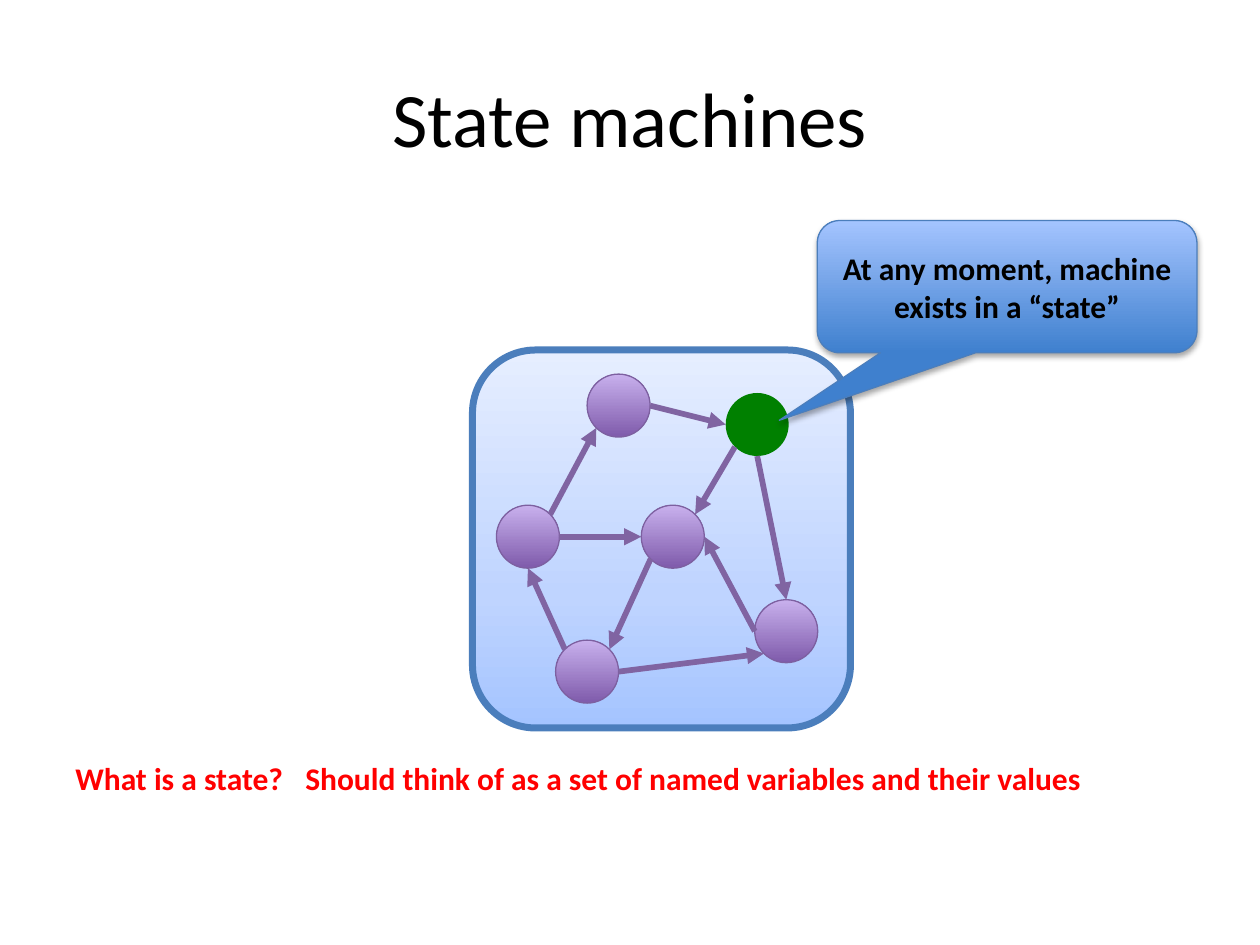
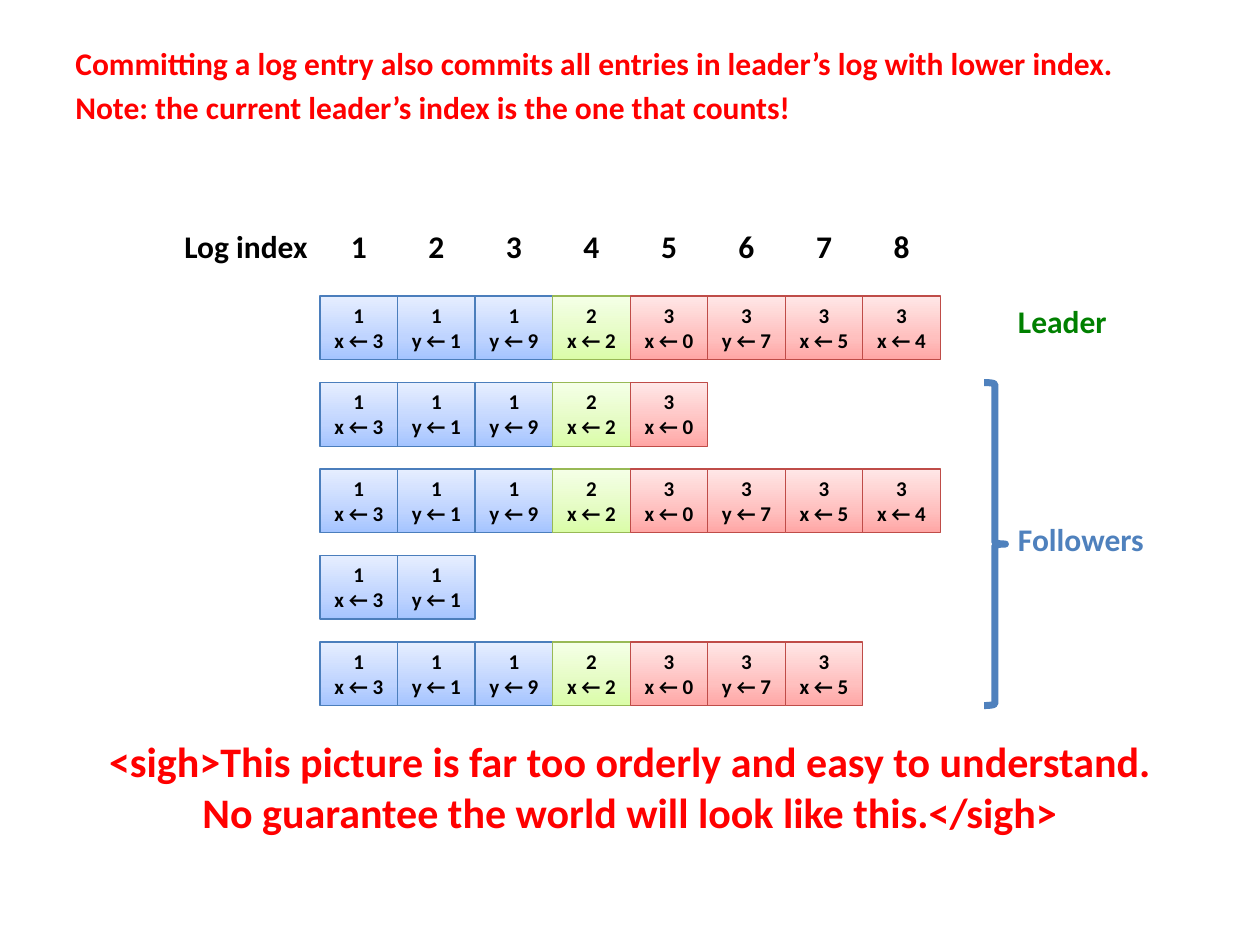
from math import cos, radians, sin

from lxml import etree
from pptx import Presentation
from pptx.dml.color import RGBColor
from pptx.enum import shapes, text
from pptx.oxml import ns
from pptx.util import Pt

FONT = "Calibri"
BLACK = RGBColor(0x00, 0x00, 0x00)
RED = RGBColor(0xFF, 0x00, 0x00)
GREEN = RGBColor(0x00, 0x80, 0x00)
BLUE = RGBColor(0x4F, 0x81, 0xBD)
BLUE_EDGE = RGBColor(0x4B, 0x7E, 0xBC)
LIME_EDGE = RGBColor(0x98, 0xB9, 0x55)
RED_EDGE = RGBColor(0xBF, 0x4C, 0x48)
PURPLE_EDGE = RGBColor(0x7D, 0x60, 0xA0)
ARROW = RGBColor(0x80, 0x64, 0xA2)


def stops(*pairs):
    return [(at, RGBColor.from_string(shade)) for at, shade in pairs]


PALE_BLUE = stops((0, "A4C4FF"), (35, "BFD4FF"), (100, "E6EEFF"))
PALE_LIME = stops((0, "DAFDA7"), (35, "E4FCC2"), (100, "F5FFE7"))
PALE_RED = stops((0, "FFA6A5"), (35, "FFC0BF"), (100, "FFE7E7"))
PURPLE = stops((0, "7F5BAB"), (100, "C8B0ED"))
STRONG_BLUE = stops((0, "3F80CE"), (100, "A4C4FF"))

LEFT, WIDTH, LINE_HEIGHT = 36, 648, 29
CENTER, RIGHT = text.PP_ALIGN.CENTER, text.PP_ALIGN.RIGHT
MIDDLE = text.MSO_ANCHOR.MIDDLE

TITLE = "State machines"
CALLOUT = "At any moment, machine exists in a “state”"
STATE_NOTES = [
    ("What is a state?", 36, 134.6),
    ("Should think of as a set of named variables and their values", 167.4, 458.6),
]
RADIUS = 18
STATES = {
    "west": (301.7, 306.7),
    "south": (335.5, 383.8),
    "center": (384.5, 306.7),
    "current": (432.7, 242.6),
    "east": (449.3, 360.7),
    "north": (353.5, 231.8),
}
COMPASS = {"E": 0, "SE": 45, "S": 90, "SW": 135, "W": 180, "NW": 225, "N": 270, "NE": 315}
TRANSITIONS = [
    ("west", "NE", "north", "SW"),
    ("current", "S", "east", "N"),
    ("south", "E", "east", "SW"),
    ("current", "SW", "center", "NE"),
    ("west", "E", "center", "W"),
    ("east", "W", "center", "E"),
    ("center", "SW", "south", "NE"),
    ("south", "NW", "west", "S"),
    ("north", "E", "current", "W"),
]

COMMIT_NOTES = [
    "Committing a log entry also commits all entries in leader’s log with lower index.",
    "Note: the current leader’s index is the one that counts!",
]
LOG = [
    ("1", "x ← 3"), ("1", "y ← 1"), ("1", "y ← 9"), ("2", "x ← 2"),
    ("3", "x ← 0"), ("3", "y ← 7"), ("3", "x ← 5"), ("3", "x ← 4"),
]
LOG_LENGTHS = [8, 5, 8, 2, 7]
TERM_STYLES = {
    "1": (PALE_BLUE, BLUE_EDGE),
    "2": (PALE_LIME, LIME_EDGE),
    "3": (PALE_RED, RED_EDGE),
}
LOG_LEFT, LOG_TOP, ENTRY_WIDTH, ENTRY_HEIGHT, LOG_PITCH = 182.9, 169.2, 44.3, 36.4, 49.4
SIGH = [
    "<sigh>This picture is far too orderly and easy to understand.",
    "No guarantee the world will look like this.</sigh>",
]


def write(shape, lines, size=18, color=BLACK, bold=True, align=None,
          anchor=text.MSO_ANCHOR.TOP, wrap=True):
    frame = shape.text_frame
    frame.word_wrap = wrap
    frame.vertical_anchor = anchor
    for number, line in enumerate(lines):
        paragraph = frame.add_paragraph() if number else frame.paragraphs[0]
        paragraph.alignment = align or text.PP_ALIGN.LEFT
        run = paragraph.add_run()
        run.text = line
        run.font.name = FONT
        run.font.size = Pt(size)
        run.font.bold = bold
        run.font.color.rgb = color


def add_label(slide, lines, left, top, width, height=LINE_HEIGHT, **style):
    label = slide.shapes.add_textbox(Pt(left), Pt(top), Pt(width), Pt(height))
    write(label, lines, **style)


def fill_upward(shape, gradient):
    shape.fill.gradient()
    grad = shape.fill._xPr.find(ns.qn("a:gradFill"))
    stop_list = grad.find(ns.qn("a:gsLst"))
    for old in list(stop_list):
        stop_list.remove(old)
    for at, shade in gradient:
        stop = etree.SubElement(stop_list, ns.qn("a:gs"), pos=str(at * 1000))
        etree.SubElement(stop, ns.qn("a:srgbClr"), val=str(shade))
    grad.find(ns.qn("a:lin")).set("ang", "16200000")


def add_block(slide, kind, left, top, width, height, fill=None, edge=None, weight=0.75):
    block = slide.shapes.add_shape(kind, Pt(left), Pt(top), Pt(width), Pt(height))
    block.shadow.inherit = False
    if fill is None:
        block.fill.background()
    elif isinstance(fill, list):
        fill_upward(block, fill)
    else:
        block.fill.solid()
        block.fill.fore_color.rgb = fill
    if edge is None:
        block.line.fill.background()
    else:
        block.line.color.rgb = edge
        block.line.width = Pt(weight)
    return block


def rim(state, side):
    x, y = STATES[state]
    angle = radians(COMPASS[side])
    return Pt(x + RADIUS * cos(angle)), Pt(y + RADIUS * sin(angle))


def add_transition(slide, source, exit_side, target, entry_side):
    arrow = slide.shapes.add_connector(
        shapes.MSO_CONNECTOR.STRAIGHT, *rim(source, exit_side), *rim(target, entry_side))
    arrow.line.color.rgb = ARROW
    arrow.line.width = Pt(3.25)
    etree.SubElement(arrow.line._get_or_add_ln(), ns.qn("a:tailEnd"), type="triangle")
    etree.SubElement(arrow._element.spPr, ns.qn("a:effectLst"))


def add_soft_shadow(shape):
    effects = shape._element.spPr.find(ns.qn("a:effectLst"))
    shadow = etree.SubElement(effects, ns.qn("a:outerShdw"), blurRad=str(Pt(3.15)),
                              dist=str(Pt(1.8)), dir="5400000", rotWithShape="0")
    shade = etree.SubElement(shadow, ns.qn("a:srgbClr"), val=str(BLACK))
    etree.SubElement(shade, ns.qn("a:alpha"), val="35000")


def build_state_machine(slide):
    kinds = shapes.MSO_SHAPE
    add_label(slide, [TITLE], LEFT, 21.6, WIDTH, 90,
              size=44, bold=False, align=CENTER, anchor=MIDDLE)
    add_block(slide, kinds.ROUNDED_RECTANGLE, 270, 200, 216, 216, PALE_BLUE, BLUE_EDGE, 4)
    for state, (x, y) in STATES.items():
        look = (GREEN, None) if state == "current" else (PURPLE, PURPLE_EDGE)
        add_block(slide, kinds.OVAL, x - RADIUS, y - RADIUS, 2 * RADIUS, 2 * RADIUS, *look)
    for transition in TRANSITIONS:
        add_transition(slide, *transition)
    callout = add_block(slide, kinds.ROUNDED_RECTANGULAR_CALLOUT, 467, 126, 217, 75.6,
                        STRONG_BLUE, BLUE_EDGE)
    for number, value in enumerate((-0.6, 1.01, 0.17)):
        callout.adjustments[number] = value
    add_soft_shadow(callout)
    write(callout, [CALLOUT], align=CENTER, anchor=MIDDLE)
    for note, left, width in STATE_NOTES:
        add_label(slide, [note], left, 430, width, color=RED, wrap=False)


def build_log(slide):
    kinds = shapes.MSO_SHAPE
    for row, length in enumerate(LOG_LENGTHS):
        for column, (term, command) in enumerate(LOG[:length]):
            entry = add_block(slide, kinds.RECTANGLE, LOG_LEFT + column * ENTRY_WIDTH,
                              LOG_TOP + row * LOG_PITCH, ENTRY_WIDTH, ENTRY_HEIGHT,
                              *TERM_STYLES[term])
            write(entry, [term, command], size=12, align=CENTER, wrap=False)
    for column in range(len(LOG)):
        add_label(slide, [str(column + 1)], LOG_LEFT + column * ENTRY_WIDTH, 126,
                  ENTRY_WIDTH, align=CENTER)
    add_label(slide, ["Log index"], LEFT, 126, LOG_LEFT - LEFT, align=RIGHT)
    add_label(slide, ["Leader"], 574.6, LOG_TOP, 109.4, color=GREEN)
    followers_top = LOG_TOP + LOG_PITCH
    followers_height = 3 * LOG_PITCH + ENTRY_HEIGHT
    add_block(slide, kinds.RIGHT_BRACE, 562.4, followers_top, 12.2, followers_height,
              edge=BLUE, weight=4)
    add_label(slide, ["Followers"], 574.6, 293.8, 109.4, color=BLUE)
    for number, note in enumerate(COMMIT_NOTES):
        add_label(slide, [note], LEFT, 21.6 + number * 25.2, WIDTH, color=RED)
    add_label(slide, SIGH, LEFT, 417, WIDTH, 65.5, size=24, color=RED, align=CENTER)


def main():
    deck = Presentation()
    deck.slide_width, deck.slide_height = Pt(720), Pt(540)
    for build in (build_state_machine, build_log):
        build(deck.slides.add_slide(deck.slide_layouts[6]))
    deck.save("out.pptx")


if __name__ == "__main__":
    main()
